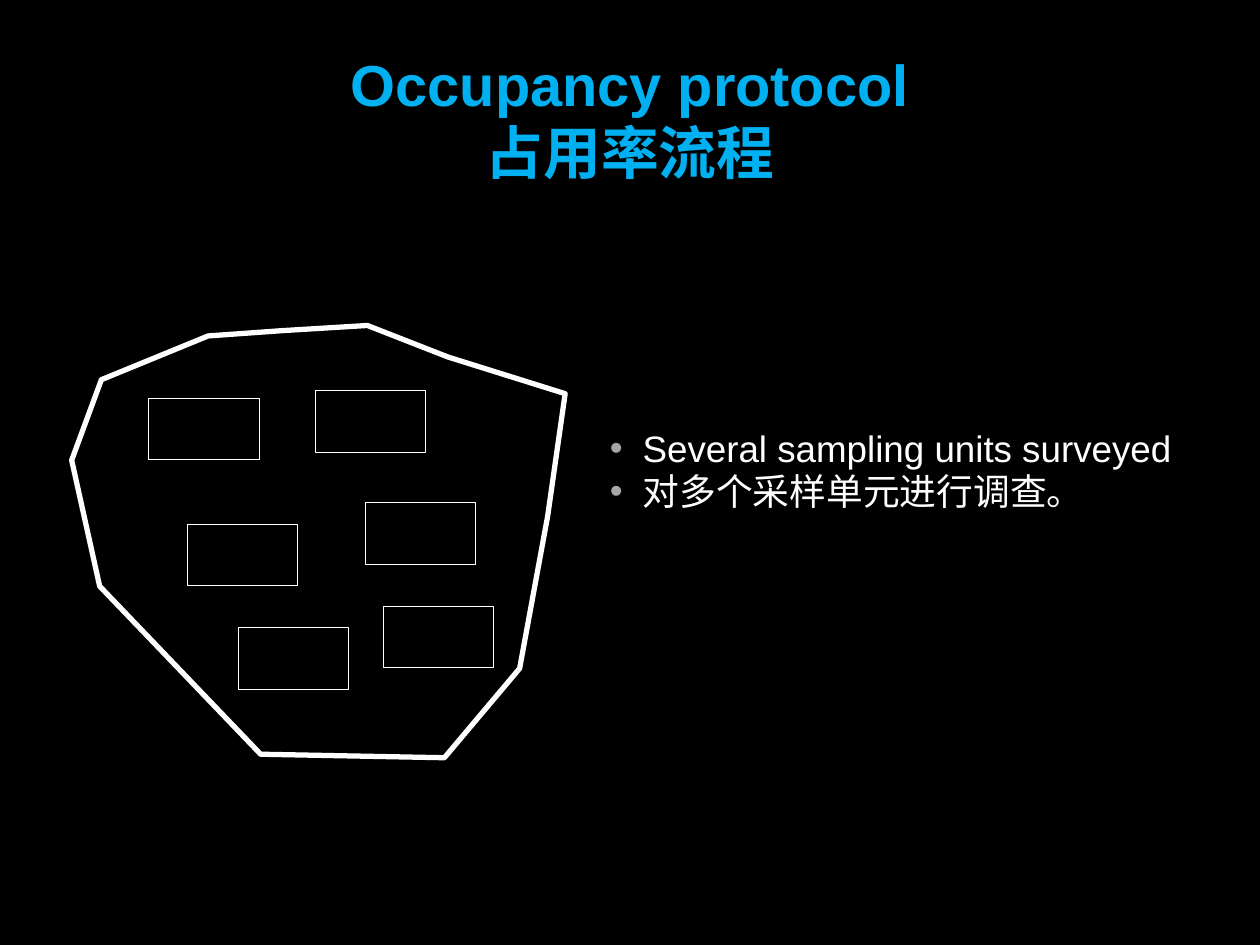
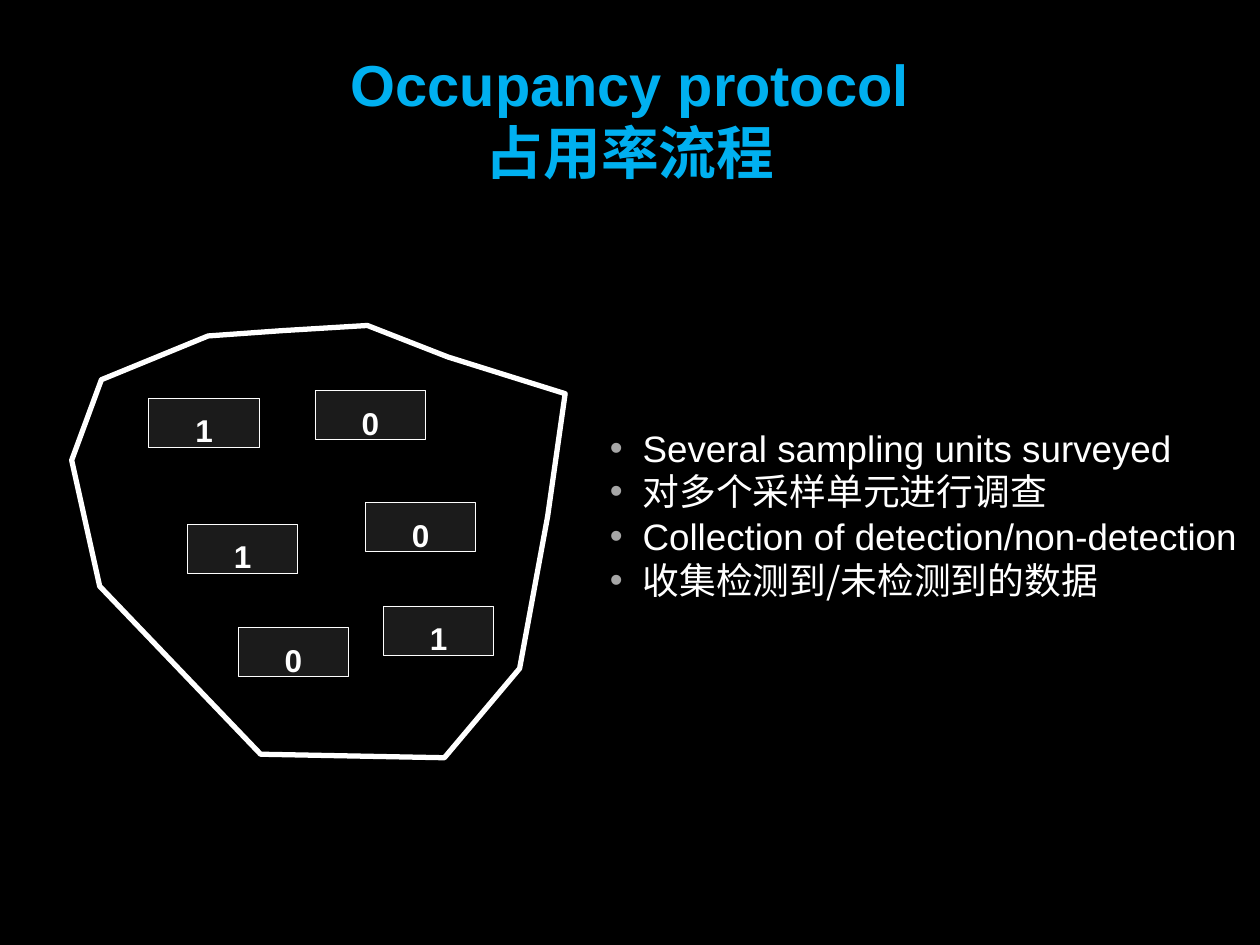
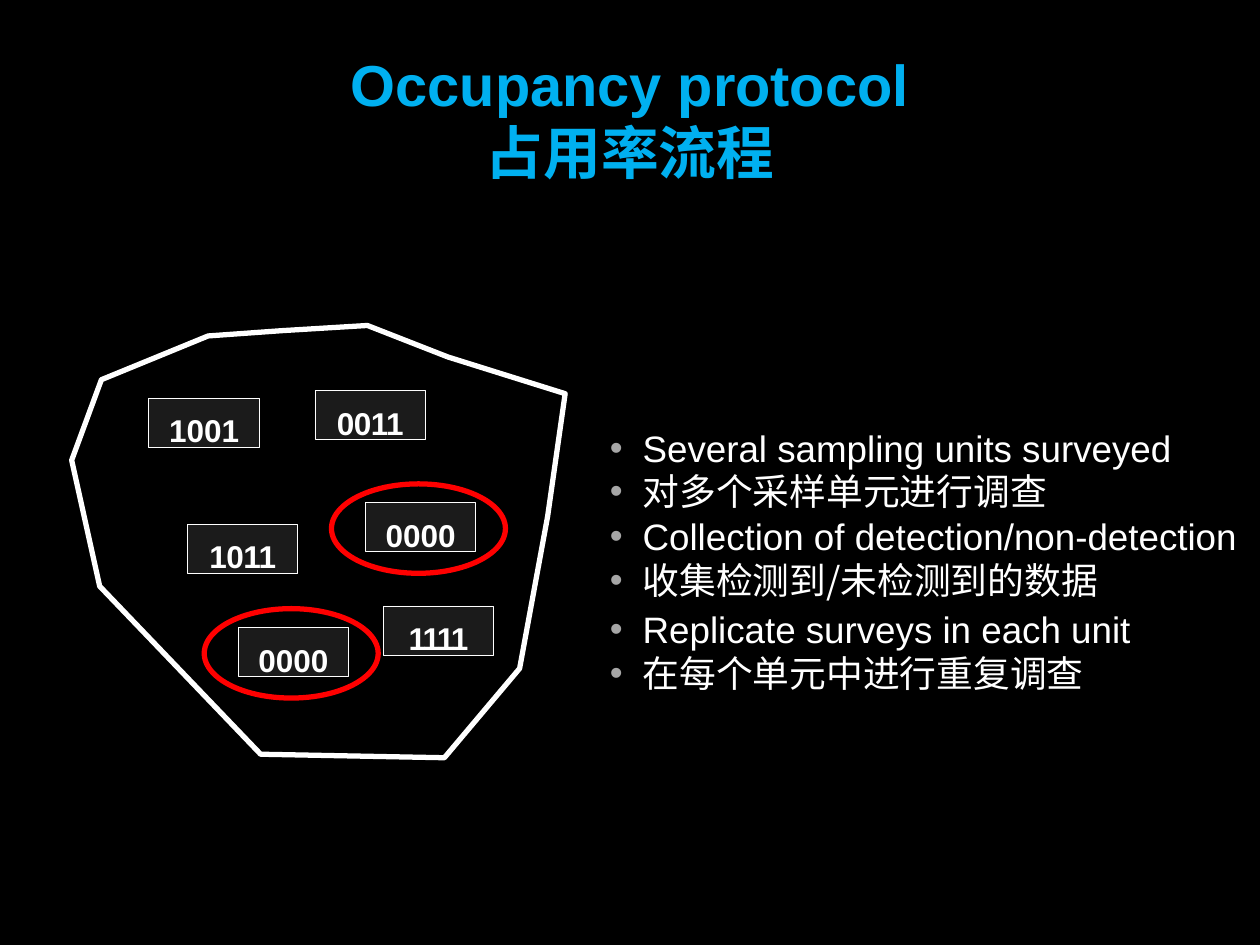
from lxml.etree import SubElement
from pptx import Presentation
from pptx.dml.color import RGBColor
from pptx.enum.shapes import MSO_SHAPE as SHAPE
from pptx.enum.text import MSO_ANCHOR as ANCHOR, MSO_AUTO_SIZE as FIT, PP_ALIGN as ALIGN
from pptx.oxml.ns import qn
from pptx.util import Pt

# Content
TITLE = ("Occupancy protocol", "占用率流程")
SURVEYED = ("Several sampling units surveyed", "对多个采样单元进行调查")
COLLECTION = ("Collection of detection/non-detection", "收集检测到/未检测到的数据")
REPLICATES = ("Replicate surveys in each unit", "在每个单元中进行重复调查")
SLIDES = [
    {"readings": None, "points": [(SURVEYED[0], SURVEYED[1] + "。")]},
    {"readings": ["1", "0", "1", "0", "0", "1"], "points": [SURVEYED, COLLECTION]},
    {"readings": ["1001", "0011", "1011", "0000", "0000", "1111"],
     "points": [SURVEYED, COLLECTION, REPLICATES]},
]
NEVER_DETECTED = "0000"
TRACKING = {"0011": "-30", "1011": "-30", "1111": "-100"}

# Look
COLORS = {"background": "000000", "title": "00B0F0", "text": "FFFFFF",
          "bullet": "A6A6A6", "unit": "1B1B1B", "ring": "FF0000"}
LATIN, CHINESE = "Arial", "Noto Sans CJK SC"
TITLE_FONT = {"size": Pt(33), "bold": True}
POINT_FONT = {"size": Pt(21), "bold": False}
READING_FONT = {"size": Pt(18), "bold": True}

# Places, in points
TITLE_BOX = (0, 26.6, 720, 80.6)
STUDY_AREA = [(119, 191.5), (58.3, 216.7), (41, 262.8), (56.9, 334.8),
              (149, 431.3), (254.2, 432.7), (296.6, 381.6), (313.2, 295.2),
              (322.6, 224.6), (255.6, 204.5), (210.2, 185.8), (161.3, 189.4)]
UNITS = [(85, 227.5), (180, 223.2), (107.1, 299.5),
         (208.8, 287.3), (136.1, 358.6), (219, 346.3)]
UNIT_WIDTH, EMPTY_HEIGHT, READING_HEIGHT = 63.2, 35.2, 28
RING_WIDTH, RING_HEIGHT = 99.4, 51.1
RING_SHIFT = (-19.4, -10.8)
POINT_LEFT, POINT_HEIGHT = 347.8, 52.6
POINT_SPOTS = [(242.6, 323), (293, 360), (346.3, 300)]  # top, width


def color(key):
    return RGBColor.from_string(COLORS[key])


def points(*lengths):
    return [Pt(length) for length in lengths]


def add_run(paragraph, text, look, color_key, face=LATIN):
    run = paragraph.add_run()
    run.text = text
    for attribute, value in {"name": face, **look}.items():
        setattr(run.font, attribute, value)
    run.font.color.rgb = color(color_key)
    if face == CHINESE:
        SubElement(run.font._element, qn("a:ea"), typeface=face)
    return run


def set_frame(frame, top_inset, anchor=ANCHOR.TOP):
    settings = {"margin_left": 0, "margin_right": 0, "margin_bottom": 0,
                "margin_top": Pt(top_inset), "word_wrap": True,
                "auto_size": FIT.NONE, "vertical_anchor": anchor}
    for attribute, value in settings.items():
        setattr(frame, attribute, value)


def outline(shape, color_key, width, fill=None):
    shape.shadow.inherit = False
    if fill:
        shape.fill.solid()
        shape.fill.fore_color.rgb = color(fill)
    else:
        shape.fill.background()
    shape.line.color.rgb = color(color_key)
    shape.line.width = Pt(width)


def add_title(slide):
    title = slide.shapes.title
    title.left, title.top, title.width, title.height = points(*TITLE_BOX)
    set_frame(title.text_frame, 0.72, ANCHOR.MIDDLE)
    heading = title.text_frame.paragraphs[0]
    heading.alignment = ALIGN.CENTER
    heading.line_spacing = Pt(39)
    add_run(heading, TITLE[0], TITLE_FONT, "title")
    heading.add_line_break()
    add_run(heading, TITLE[1], TITLE_FONT, "title", CHINESE)


def add_study_area(slide):
    builder = slide.shapes.build_freeform(*STUDY_AREA[0], scale=Pt(1))
    builder.add_line_segments(STUDY_AREA[1:], close=True)
    outline(builder.convert_to_shape(), "text", 3)


def add_units(slide, readings):
    height = READING_HEIGHT if readings else EMPTY_HEIGHT
    for (left, top), reading in zip(UNITS, readings or [None] * len(UNITS)):
        unit = slide.shapes.add_shape(
            SHAPE.RECTANGLE, *points(left, top, UNIT_WIDTH, height))
        outline(unit, "text", 0.5, "unit" if reading else None)
        if not reading:
            continue
        set_frame(unit.text_frame, 7.5)
        label = unit.text_frame.paragraphs[0]
        label.alignment = ALIGN.CENTER
        run = add_run(label, reading, READING_FONT, "text")
        if reading in TRACKING:
            run.font._element.set("spc", TRACKING[reading])


def add_rings(slide, readings):
    for (left, top), reading in zip(UNITS, readings or []):
        if reading == NEVER_DETECTED:
            ring = slide.shapes.add_shape(SHAPE.OVAL, *points(
                left + RING_SHIFT[0], top + RING_SHIFT[1], RING_WIDTH, RING_HEIGHT))
            outline(ring, "ring", 3)


def add_bullet(paragraph):
    properties = paragraph._p.get_or_add_pPr()
    properties.set("marL", str(Pt(19.4)))
    properties.set("indent", str(Pt(-18.7)))
    bullet_color = SubElement(properties, qn("a:buClr"))
    SubElement(bullet_color, qn("a:srgbClr"), val=COLORS["bullet"])
    SubElement(properties, qn("a:buFont"), typeface=LATIN)
    SubElement(properties, qn("a:buChar"), char="•")


def add_point(slide, pair, top, width):
    box = slide.shapes.add_textbox(*points(POINT_LEFT, top, width, POINT_HEIGHT))
    frame = box.text_frame
    set_frame(frame, 0.72)
    lines = (frame.paragraphs[0], frame.add_paragraph())
    for line, text, face in zip(lines, pair, (LATIN, CHINESE)):
        line.line_spacing = Pt(25)
        add_bullet(line)
        add_run(line, text, POINT_FONT, "text", face)


def main():
    deck = Presentation()
    deck.slide_width, deck.slide_height = points(720, 540)
    backdrop = deck.slide_master.background.fill
    backdrop.solid()
    backdrop.fore_color.rgb = color("background")

    for content in SLIDES:
        slide = deck.slides.add_slide(deck.slide_layouts[5])
        add_title(slide)
        add_study_area(slide)
        add_units(slide, content["readings"])
        for pair, (top, width) in zip(content["points"], POINT_SPOTS):
            add_point(slide, pair, top, width)
        add_rings(slide, content["readings"])
    deck.save("out.pptx")


if __name__ == "__main__":
    main()
